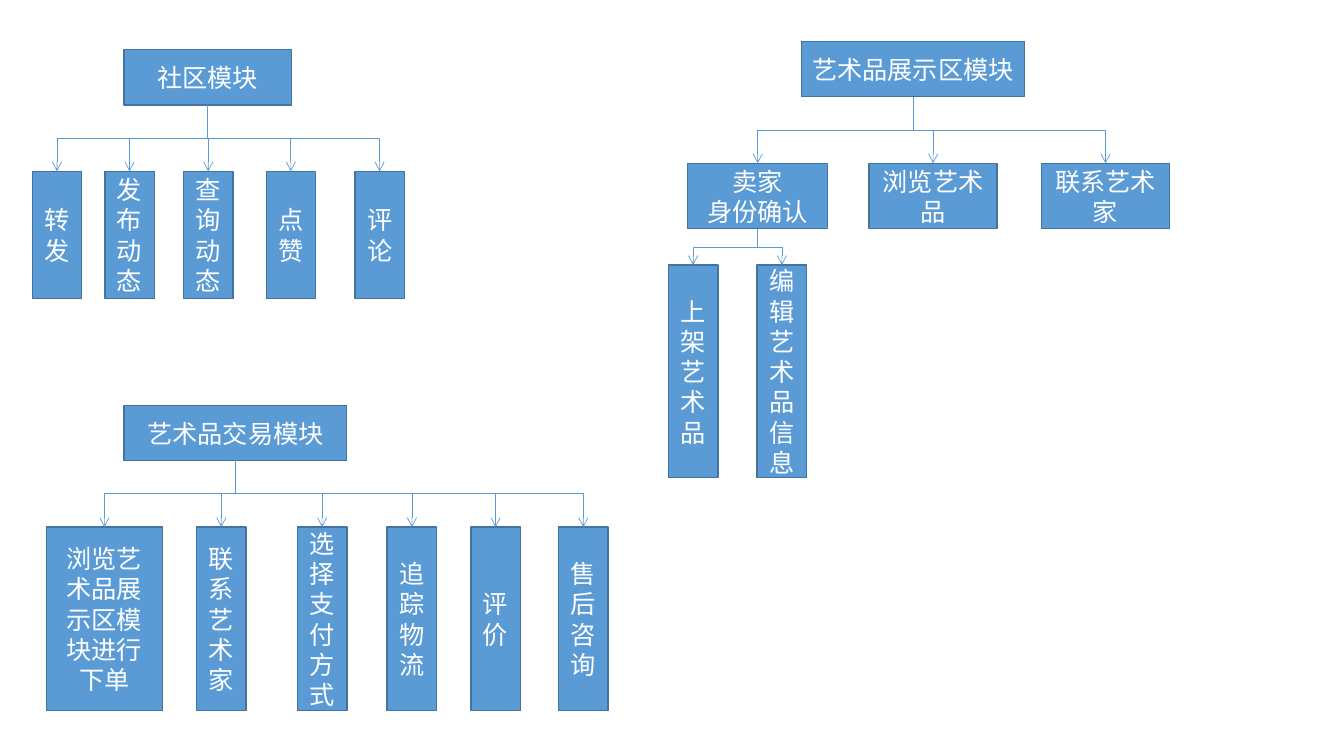
from lxml import etree
from pptx import Presentation
from pptx.dml.color import RGBColor
from pptx.enum.shapes import MSO_CONNECTOR, MSO_SHAPE
from pptx.enum.text import MSO_ANCHOR, PP_ALIGN
from pptx.oxml.ns import qn
from pptx.util import Inches, Pt

RECT = MSO_SHAPE.RECTANGLE
ELBOW = MSO_CONNECTOR.ELBOW
MIDDLE = MSO_ANCHOR.MIDDLE
CENTER = PP_ALIGN.CENTER

BLUE = RGBColor(0x5B, 0x9B, 0xD5)
DARK_BLUE = RGBColor(0x43, 0x73, 0x9E)
WHITE = RGBColor(0xFF, 0xFF, 0xFF)

ROOT_H = 0.55
NARROW = 0.49
BOTTOM, TOP = 2, 0  # connection sites of a rectangle

prs = Presentation()
prs.slide_width = Inches(13.33)
prs.slide_height = Inches(7.5)
s = prs.slides.add_slide(prs.slide_layouts[6])


def add_box(text, left, top, width, height):
    sp = s.shapes.add_shape(RECT, Inches(left), Inches(top),
                            Inches(width), Inches(height))
    sp.shadow.inherit = False
    sp.fill.solid()
    sp.fill.fore_color.rgb = BLUE
    sp.line.color.rgb = DARK_BLUE
    sp.line.width = Pt(1)
    tf = sp.text_frame
    tf.word_wrap = True
    tf.vertical_anchor = MIDDLE
    for i, line in enumerate(text.split("\n")):
        p = tf.paragraphs[0] if i == 0 else tf.add_paragraph()
        p.alignment = CENTER
        r = p.add_run()
        r.text = line
        r.font.name = "Calibri"
        r.font.size = Pt(18)
        r.font.color.rgb = WHITE
    return sp


def add_arrow(parent, child):
    cx = s.shapes.add_connector(ELBOW, 0, 0, 0, 0)
    cx.begin_connect(parent, BOTTOM)
    cx.end_connect(child, TOP)
    # Turn the elbow by 90 degrees so that it leaves the parent downwards
    x1, y1 = parent.left + parent.width // 2, parent.top + parent.height
    x2, y2 = child.left + child.width // 2, child.top
    drop, shift = y2 - y1, abs(x2 - x1)
    cx.left, cx.top = (x1 + x2 - drop) // 2, (y1 + y2 - shift) // 2
    cx.width, cx.height = drop, shift
    cx.rotation = 90
    xfrm = cx._element.spPr.find(qn("a:xfrm"))
    xfrm.set("flipH", "0")
    xfrm.set("flipV", "1" if x2 > x1 else "0")
    cx.line.color.rgb = BLUE
    cx.line.width = Pt(0.5)
    ln = cx.line._get_or_add_ln()
    etree.SubElement(ln, qn("a:tailEnd"), type="arrow")
    etree.SubElement(cx._element.spPr, qn("a:effectLst"))


# Module boxes
community = add_box("社区模块", 1.23, 0.49, 1.66, ROOT_H)
display = add_box("艺术品展示区模块", 7.95, 0.41, 2.21, ROOT_H)
trade = add_box("艺术品交易模块", 1.23, 4.02, 2.21, ROOT_H)
seller = add_box("卖家\n身份确认", 6.82, 1.62, 1.39, 0.65)
add_arrow(display, seller)

# Child rows: parent, top, height, (text, left, width)
rows = [
    (community, 1.7, 1.26, [
        ("转发", 0.32, NARROW), ("发布动态", 1.04, NARROW),
        ("查询动态", 1.82, NARROW), ("点赞", 2.64, NARROW),
        ("评论", 3.52, NARROW)]),
    (display, 1.62, 0.65, [
        ("浏览艺术品", 8.62, 1.27), ("联系艺术家", 10.33, 1.27)]),
    (seller, 2.63, 2.11, [
        ("上架艺术品", 6.63, NARROW), ("编辑艺术品信息", 7.51, NARROW)]),
    (trade, 5.23, 1.82, [
        ("浏览艺术品展示区模块进行下单", 0.46, 1.15),
        ("联系艺术家", 1.95, NARROW), ("选择支付方式", 2.95, NARROW),
        ("追踪物流", 3.84, NARROW), ("评价", 4.67, NARROW),
        ("售后咨询", 5.54, NARROW)]),
]
for parent, top, height, children in rows:
    for text, left, width in children:
        add_arrow(parent, add_box(text, left, top, width, height))

prs.save("out.pptx")
